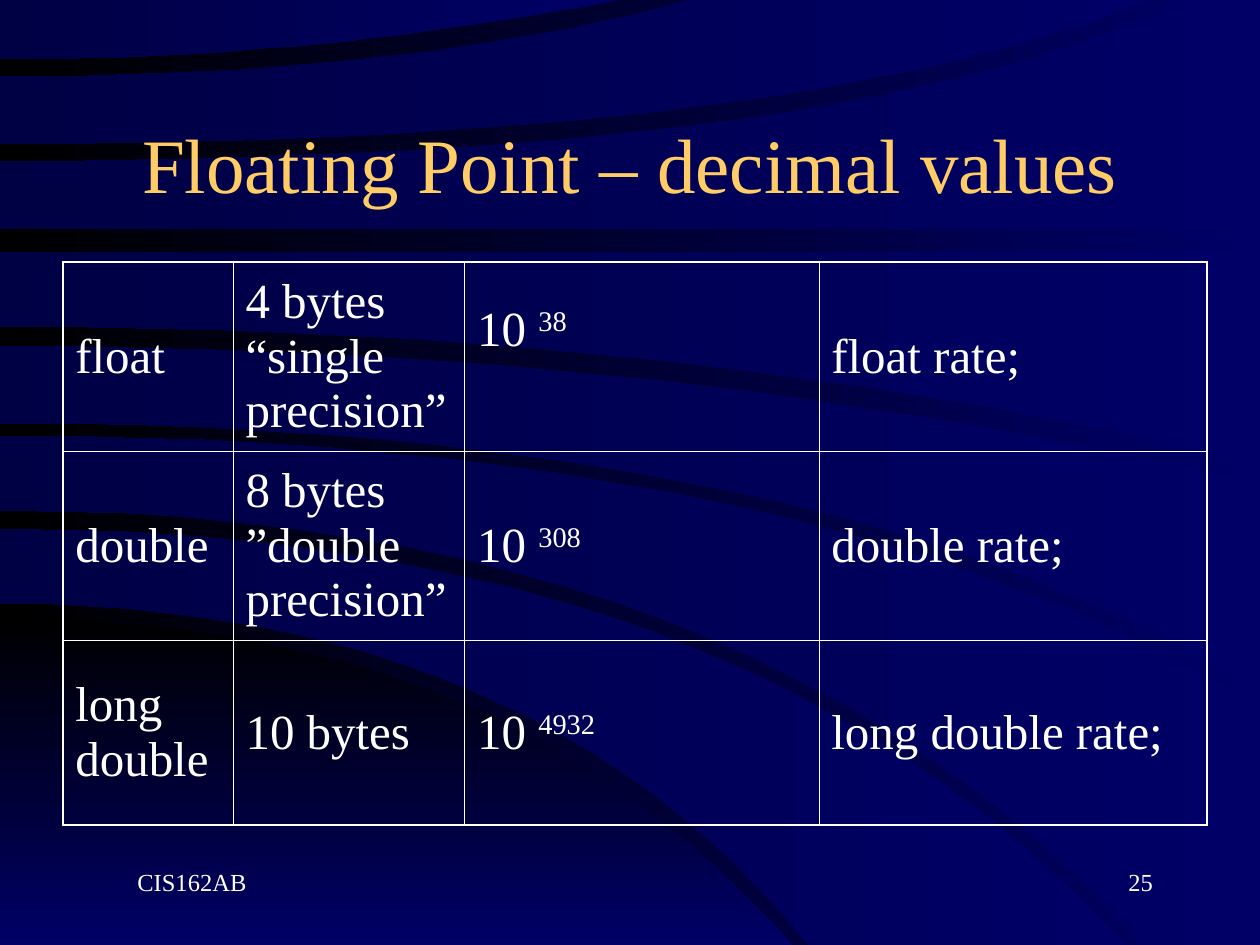
from dataclasses import dataclass

from lxml import etree
from pptx import Presentation
from pptx import util as u
from pptx.dml.color import RGBColor
from pptx.enum import text
from pptx.oxml.ns import qn

FONT = "Times New Roman"
WHITE, GOLD = "FFFFFF", "FFCC66"
NAVY, DEEP_NAVY, BLACK = "000066", "000044", "000000"
THIN, THICK = 0.45, 1.08
GRID = u.Cm(0.0254)
STEPS = 24
TOP, RIGHT, BOTTOM = -2, 1000, 750


@dataclass
class Edge:
    start_y: int
    bend_x: int
    end_x: int
    end_y: int

    def points(self) -> list[tuple[float, float]]:
        curve = []
        for step in range(STEPS + 1):
            t = step / STEPS
            x = 2 * t * (1 - t) * self.bend_x + t * t * self.end_x
            y = self.start_y + t * t * (self.end_y - self.start_y)
            curve.append((x, y))
        return curve


@dataclass
class Band:
    upper: Edge
    lower: Edge
    corners: tuple = ()
    start: str = NAVY
    end: str = DEEP_NAVY
    angle: int = 180


@dataclass
class Label:
    wording: str
    left: float
    top: float
    width: float
    height: float
    size: int
    colour: str = WHITE
    align: text.PP_ALIGN = text.PP_ALIGN.LEFT
    anchor: text.MSO_ANCHOR = text.MSO_ANCHOR.TOP
    indent: float = 0


@dataclass
class Entry:
    wording: str
    exponent: str = ""
    bottom: float = 0.13


def level(y: int, end_x: int = RIGHT) -> Edge:
    return Edge(y, end_x // 2, end_x, y)


BANDS = [
    Band(Edge(491, 404, 629, BOTTOM), level(BOTTOM, 629), (), BLACK, NAVY, 270),
    Band(Edge(420, 593, 893, BOTTOM), Edge(479, 423, 642, BOTTOM)),
    Band(Edge(346, 650, RIGHT, 562), Edge(405, 595, 909, BOTTOM), ((RIGHT, BOTTOM),)),
    Band(Edge(275, 542, RIGHT, 385), Edge(336, 655, RIGHT, 548)),
    Band(level(200), Edge(259, 550, RIGHT, 368)),
    Band(Edge(128, 690, 943, TOP), level(182), ((RIGHT, TOP),)),
    Band(Edge(61, 330, 556, TOP), Edge(114, 640, 917, TOP)),
    Band(level(TOP, 501), Edge(47, 256, 501, TOP)),
]
LABELS = [
    Label("Floating Point – decimal values", 1.91, 1.7, 21.59, 3.18, 44, GOLD,
          text.PP_ALIGN.CENTER, text.MSO_ANCHOR.MIDDLE),
    Label("25", 18.21, 17.35, 5.28, 1.27, 14, align=text.PP_ALIGN.RIGHT),
    Label("CIS162AB", 1.91, 17.35, 5.28, 1.27, 14, indent=0.61),
]
COLUMN_WIDTHS = [3.43, 4.67, 7.14, 7.82]
ROW_HEIGHTS = [3.81, 3.81, 3.73]
TYPES = [
    [Entry("float"), Entry("4 bytes “single precision”"),
     Entry("10 ", "38", bottom=1.22), Entry("float rate;")],
    [Entry("double"), Entry("8 bytes ”double precision”"),
     Entry("10 ", "308"), Entry("double rate;")],
    [Entry("long double"), Entry("10 bytes"),
     Entry("10 ", "4932"), Entry("long double rate;")],
]


def paint(target, colour: str) -> None:
    target.rgb = RGBColor.from_string(colour)


def shade(fill, start: str, end: str, angle: int) -> None:
    fill.gradient()
    fill.gradient_angle = angle
    for stop, colour in zip(fill.gradient_stops, (start, end)):
        paint(stop.color, colour)


def style(paragraph, size: int, colour: str) -> None:
    for run in paragraph.runs:
        run.font.name = FONT
        run.font.size = u.Pt(size)
        paint(run.font.color, colour)


def draw_band(slide, band: Band) -> None:
    outline = [*band.upper.points(), *band.corners, *reversed(band.lower.points())]
    builder = slide.shapes.build_freeform(*outline[0], scale=GRID)
    builder.add_line_segments(outline[1:], close=True)
    swoosh = builder.convert_to_shape()
    swoosh.shadow.inherit = False
    swoosh.line.fill.background()
    shade(swoosh.fill, band.start, band.end, band.angle)


def draw_label(slide, label: Label) -> None:
    bounds = (label.left, label.top, label.width, label.height)
    frame = slide.shapes.add_textbox(*map(u.Cm, bounds)).text_frame
    frame.word_wrap = True
    frame.vertical_anchor = label.anchor
    frame.text = label.wording
    line = frame.paragraphs[0]
    line.alignment = label.align
    line._p.get_or_add_pPr().set("marL", str(int(u.Cm(label.indent))))
    style(line, label.size, label.colour)


def draw_border(cell, side: str, points: float) -> None:
    properties = cell._tc.get_or_add_tcPr()
    edge = etree.SubElement(properties, qn(f"a:ln{side}"), w=str(int(u.Pt(points))))
    solid = etree.SubElement(edge, qn("a:solidFill"))
    etree.SubElement(solid, qn("a:srgbClr"), val=WHITE)


def fill_cell(cell, entry: Entry) -> None:
    cell.vertical_anchor = text.MSO_ANCHOR.MIDDLE
    cell.margin_left = cell.margin_right = u.Cm(0.25)
    cell.margin_top, cell.margin_bottom = u.Cm(0.13), u.Cm(entry.bottom)
    cell.text_frame.text = entry.wording
    line = cell.text_frame.paragraphs[0]
    line.space_before = u.Pt(7)
    if entry.exponent:
        power = line.add_run()
        power.text = entry.exponent
        power.font._element.set("baseline", "30000")
    style(line, 28, WHITE)


def draw_types(slide) -> None:
    rows, columns = len(ROW_HEIGHTS), len(COLUMN_WIDTHS)
    bounds = (1.27, 5.28, sum(COLUMN_WIDTHS), sum(ROW_HEIGHTS))
    table = slide.shapes.add_table(rows, columns, *map(u.Cm, bounds)).table
    table.first_row = table.horz_banding = False
    for column, width in zip(table.columns, COLUMN_WIDTHS):
        column.width = u.Cm(width)
    for r, entries in enumerate(TYPES):
        table.rows[r].height = u.Cm(ROW_HEIGHTS[r])
        for c, entry in enumerate(entries):
            cell = table.cell(r, c)
            fill_cell(cell, entry)
            outer = {"L": c == 0, "R": c == columns - 1, "T": r == 0, "B": r == rows - 1}
            for side, is_outer in outer.items():
                draw_border(cell, side, THICK if is_outer else THIN)
            cell.fill.background()


def main() -> None:
    deck = Presentation()
    deck.slide_width, deck.slide_height = u.Cm(25.4), u.Cm(19.05)
    slide = deck.slides.add_slide(deck.slide_layouts[6])
    shade(slide.background.fill, NAVY, BLACK, 180)
    for band in BANDS:
        draw_band(slide, band)
    draw_types(slide)
    for label in LABELS:
        draw_label(slide, label)
    deck.save("out.pptx")


if __name__ == "__main__":
    main()
